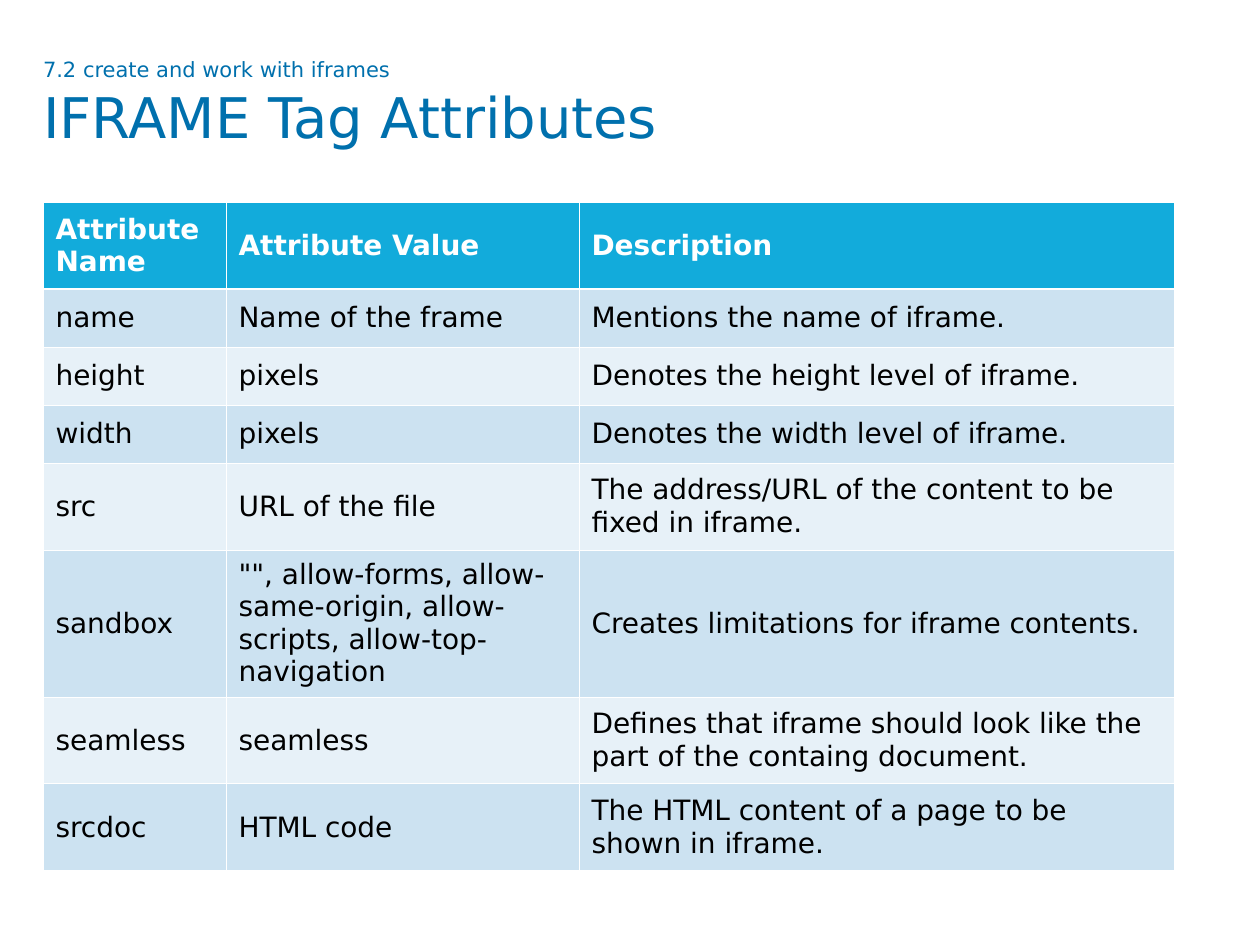
import copy
import lxml.etree
import pptx
import pptx.util
import pptx.dml.color
import pptx.enum.text
import pptx.oxml.ns

PX = 914400 / 126
FONT = "DejaVu Sans"
WHITE, BLACK, BLUE = "FFFFFF", "000000", "0070AD"
HEADER_FILL, BAND_FILLS = "12ABDB", ("E7F1F8", "CCE2F1")


def color(value):
    return pptx.dml.color.RGBColor.from_string(value)


def add_run(paragraph, text, size, value, bold=False):
    run = paragraph.add_run()
    run.text = text
    run.font.name = FONT
    run.font.size = pptx.util.Pt(size)
    run.font.bold = bold
    run.font.color.rgb = color(value)
    return run


deck = pptx.Presentation()
deck.slide_width, deck.slide_height = round(1260 * PX), round(945 * PX)
slide = deck.slides.add_slide(deck.slide_layouts[6])

left, top, width, height = (round(n * PX) for n in (43, 57, 1176, 118))
title = slide.shapes.add_textbox(left, top, width, height).text_frame
title.word_wrap = True
title.margin_left = title.margin_top = title.margin_right = title.margin_bottom = 0
heading = title.paragraphs[0]
section = add_run(heading, "7.2 create and work with iframes ", 12, BLUE)
heading.add_line_break()
heading._p[-1].append(copy.deepcopy(section._r.rPr))
add_run(heading, "IFRAME Tag Attributes", 32, BLUE)

attributes = [
    ("Attribute Name", "Attribute Value", "Description"),
    ("name", "Name of the frame", "Mentions the name of iframe."),
    ("height", "pixels", "Denotes the height level of iframe."),
    ("width", "pixels", "Denotes the width level of iframe."),
    ("src", "URL of the file", "The address/URL of the content to be fixed in iframe."),
    ("sandbox", '"", allow-forms, allow-same-origin, allow-scripts, allow-top-navigation',
     "Creates limitations for iframe contents."),
    ("seamless", "seamless",
     "Defines that iframe should look like the part of the containg document."),
    ("srcdoc", "HTML code", "The HTML content of a page to be shown in iframe."),
]
column_widths = [183, 353, 595]
row_heights = [87, 58, 58, 58, 87, 147, 87, 87]

left, top, width, height = (
    round(n * PX) for n in (43, 202, sum(column_widths), sum(row_heights)))
table = slide.shapes.add_table(
    len(attributes), len(column_widths), left, top, width, height).table
for column, column_width in zip(table.columns, column_widths):
    column.width = round(column_width * PX)
for row, row_height in zip(table.rows, row_heights):
    row.height = round(row_height * PX)

for r, texts in enumerate(attributes):
    is_header = r == 0
    for c, text in enumerate(texts):
        cell = table.cell(r, c)
        cell.vertical_anchor = pptx.enum.text.MSO_ANCHOR.MIDDLE
        add_run(cell.text_frame.paragraphs[0], text, 16,
                WHITE if is_header else BLACK, is_header)
        borders = cell._tc.get_or_add_tcPr()
        for side in ("L", "R", "T", "B"):
            under_header = (r, side) in ((0, "B"), (1, "T"))
            line = lxml.etree.SubElement(
                borders, pptx.oxml.ns.qn(f"a:ln{side}"),
                w=str(pptx.util.Pt(1.47 if under_header else 0.45)))
            solid = lxml.etree.SubElement(line, pptx.oxml.ns.qn("a:solidFill"))
            lxml.etree.SubElement(solid, pptx.oxml.ns.qn("a:srgbClr"), val=WHITE)
        cell.fill.solid()
        cell.fill.fore_color.rgb = color(HEADER_FILL if is_header else BAND_FILLS[r % 2])

deck.save("out.pptx")
